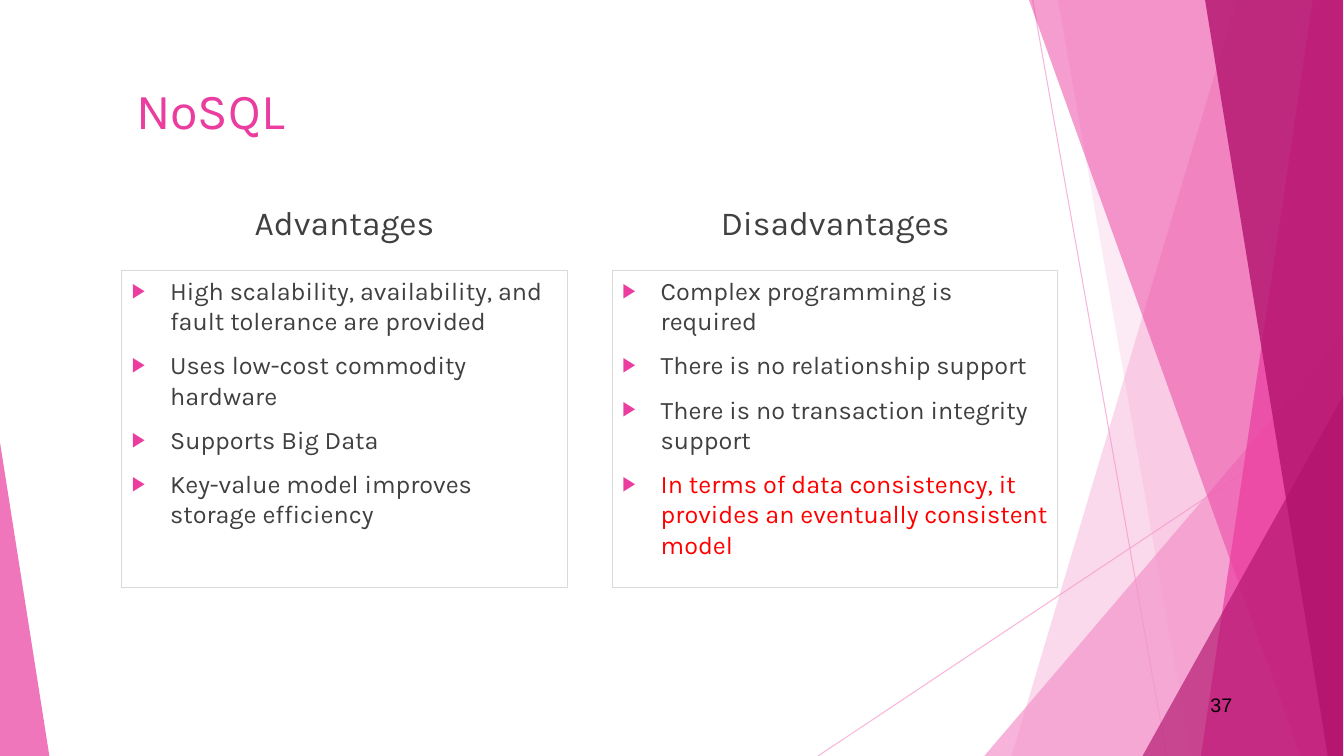
from lxml.etree import SubElement
from pptx import Presentation
from pptx.dml.color import RGBColor
from pptx.enum.shapes import MSO_CONNECTOR, MSO_SHAPE
from pptx.enum.text import MSO_ANCHOR, PP_ALIGN
from pptx.oxml.ns import qn
from pptx.util import Inches, Pt

PALE = RGBColor(0xF4, 0x96, 0xCB)
PINK = RGBColor(0xEB, 0x3D, 0x9F)
PLUM = RGBColor(0xB2, 0x13, 0x6D)
GRAY = RGBColor(0x40, 0x40, 0x40)
EDGE = RGBColor(0xD9, 0xD9, 0xD9)
RED = RGBColor(0xFF, 0x00, 0x00)
BLACK = RGBColor(0x00, 0x00, 0x00)

WIDE, HIGH = 13.34, 7.5
RIGHT = 13.33

# Each column: heading, then (text, color) items
COLUMNS = [
    ("Advantages", [
        ("High scalability, availability, and fault tolerance are provided", GRAY),
        ("Uses low-cost commodity hardware", GRAY),
        ("Supports Big Data", GRAY),
        ("Key-value model improves storage efficiency", GRAY),
    ]),
    ("Disadvantages", [
        ("Complex programming is required", GRAY),
        ("There is no relationship support", GRAY),
        ("There is no transaction integrity support", GRAY),
        ("In terms of data consistency, it provides an eventually consistent model", RED),
    ]),
]

# Full-height bands: top left, bottom left, color, opacity
BANDS = [
    (12.28, 10.04, PALE, 36),
    (10.5, 11.82, PALE, 20),
    (10.21, 12.91, PINK, 50),
    (13.03, 11.92, PINK, 70),
    (11.96, 13.18, PLUM, 80),
]


def fade(fill, percent):
    color = fill._xPr.find(".//" + qn("a:srgbClr"))
    SubElement(color, qn("a:alpha")).set("val", str(percent * 1000))


def paint(shape, color, percent):
    shape.shadow.inherit = False
    shape.fill.solid()
    shape.fill.fore_color.rgb = color
    fade(shape.fill, percent)
    shape.line.fill.background()


def write(para, text, size=18, color=GRAY, font="Karla", align=PP_ALIGN.LEFT, before=0):
    para.alignment = align
    para.space_before = Pt(before)
    run = para.add_run()
    run.text = text
    run.font.size = Pt(size)
    run.font.name = font
    run.font.color.rgb = color


def bullet(para):
    props = para._p.get_or_add_pPr()
    props.set("marL", str(Inches(0.38)))
    props.set("indent", str(-Inches(0.38)))
    tint = SubElement(props, qn("a:buClr"))
    SubElement(tint, qn("a:srgbClr")).set("val", str(PINK))
    SubElement(props, qn("a:buSzPct")).set("val", "80000")
    SubElement(props, qn("a:buFont")).set("typeface", "Arial")
    SubElement(props, qn("a:buChar")).set("char", "▶")


def add_line(slide, x1, y1, x2, y2):
    line = slide.shapes.add_connector(
        MSO_CONNECTOR.STRAIGHT, Inches(x1), Inches(y1), Inches(x2), Inches(y2))
    line.line.width = Pt(0.75)
    line.line.color.rgb = PALE
    fade(line.line.fill, 70)
    SubElement(line._element.spPr, qn("a:effectLst"))


def add_band(slide, top, foot, color, percent):
    start, *rest = [(Inches(x), Inches(y)) for x, y in (
        (top, -0.01), (RIGHT, -0.01), (RIGHT, HIGH), (foot, HIGH))]
    shape = slide.shapes.build_freeform(*start)
    shape.add_line_segments(rest, close=True)
    paint(shape.convert_to_shape(), color, percent)


def add_wedge(slide, left, top, width, peak, color, percent):
    shape = slide.shapes.add_shape(
        MSO_SHAPE.ISOSCELES_TRIANGLE, Inches(left), Inches(top),
        Inches(width), Inches(HIGH - top))
    shape.adjustments[0] = peak
    paint(shape, color, percent)


def add_facets(slide):
    add_line(slide, 10.25, 0, 11.58, HIGH)
    add_line(slide, RIGHT, 4.03, 8.12, HIGH)
    for band in BANDS[:2]:
        add_band(slide, *band)
    add_wedge(slide, 9.77, 3.33, 3.56, 1, PALE, 72)
    for band in BANDS[2:]:
        add_band(slide, *band)
    add_wedge(slide, 11.34, 3.93, 1.99, 1, PLUM, 66)
    add_wedge(slide, 0, 4.39, 0.49, 0, PINK, 70)


def add_title(slide, text, left, top, width, height):
    title = slide.shapes.title
    title.left, title.top = Inches(left), Inches(top)
    title.width, title.height = Inches(width), Inches(height)
    title.text_frame.vertical_anchor = MSO_ANCHOR.MIDDLE
    write(title.text_frame.paragraphs[0], text, size=36, color=PINK)


def add_label(slide, text, left, top, width, height, anchor=MSO_ANCHOR.TOP, **style):
    box = slide.shapes.add_textbox(
        Inches(left), Inches(top), Inches(width), Inches(height))
    box.text_frame.word_wrap = True
    box.text_frame.vertical_anchor = anchor
    write(box.text_frame.paragraphs[0], text, **style)


def add_column(slide, head, items, left, top, width, height):
    add_label(slide, head, left, top, width, 0.5, anchor=MSO_ANCHOR.BOTTOM,
              size=24, align=PP_ALIGN.CENTER)
    # Framed list below the heading
    skip = 0.73
    frame = slide.shapes.add_shape(
        MSO_SHAPE.RECTANGLE, Inches(left), Inches(top + skip),
        Inches(width), Inches(height - skip))
    frame.shadow.inherit = False
    frame.fill.background()
    frame.line.color.rgb = EDGE
    frame.line.width = Pt(0.75)
    body = frame.text_frame
    body.word_wrap = True
    body.vertical_anchor = MSO_ANCHOR.TOP
    for i, (text, color) in enumerate(items):
        para = body.add_paragraph() if i else body.paragraphs[0]
        bullet(para)
        write(para, text, color=color, before=10 if i else 0)


def main():
    deck = Presentation()
    deck.slide_width, deck.slide_height = Inches(WIDE), Inches(HIGH)
    slide = deck.slides.add_slide(deck.slide_layouts[5])
    # Background facets and page number
    add_facets(slide)
    add_label(slide, "37", 11, 6.83, 1.33, 0.33, size=14, color=BLACK,
              font="Arial", align=PP_ALIGN.RIGHT)
    # Title and the two columns
    add_title(slide, "NoSQL", 1.25, 0.66, 9.17, 0.84)
    for i, (head, items) in enumerate(COLUMNS):
        add_column(slide, head, items, 1.21 + i * 4.87, 1.95, 4.42, 3.88)
    deck.save("out.pptx")


if __name__ == "__main__":
    main()
